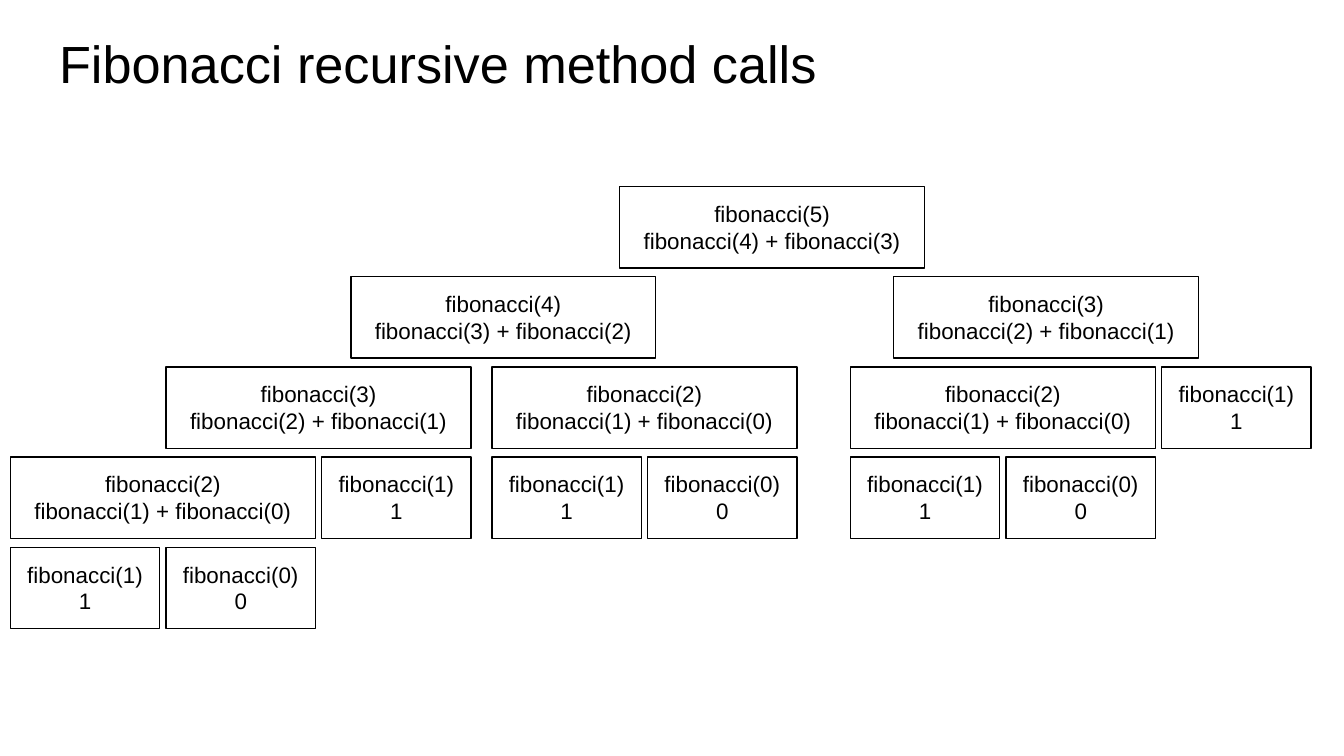
from pptx import Presentation
from pptx import util as u
from pptx.dml.color import RGBColor
from pptx.enum import shapes, text

Pt = u.Pt
BLACK = RGBColor(0x00, 0x00, 0x00)
FONT = "Arial"
LEAF_W, CALL_H = 80, 43.6
COL_STEP, ROW_STEP = 83.4, 48.3
CALL_W = COL_STEP + LEAF_W
FRAME = dict(word_wrap=True, margin_left=Pt(7.2), margin_right=Pt(7.2),
             margin_top=Pt(7.2), margin_bottom=Pt(7.2))
GROUP_A, GROUP_B, GROUP_C = 0, 258, 450
CALL_ROWS = [
    [(5, 326.4)],
    [(4, 182.4), (3, 473.2)],
    [(3, GROUP_A + COL_STEP), (2, GROUP_B), (2, GROUP_C), (1, GROUP_C + 2 * COL_STEP)],
    [(2, GROUP_A), (1, GROUP_A + 2 * COL_STEP),
     (1, GROUP_B), (0, GROUP_B + COL_STEP),
     (1, GROUP_C), (0, GROUP_C + COL_STEP)],
    [(1, GROUP_A), (0, GROUP_A + COL_STEP)],
]


def set_attrs(obj, values):
    """Set each named attribute on the object."""
    for name, value in values.items():
        setattr(obj, name, value)


def write_lines(tf, lines, size, align):
    """Write one paragraph per line in the slide font."""
    for i, line in enumerate(lines):
        p = tf.paragraphs[0] if i == 0 else tf.add_paragraph()
        p.alignment = align
        r = p.add_run()
        r.text = line
        set_attrs(r.font, dict(name=FONT, size=Pt(size)))
        r.font.color.rgb = BLACK


def add_title(s, left, top, width, height):
    """Place and format the title."""
    sp = s.shapes.title
    set_attrs(sp, dict(left=Pt(left), top=Pt(top), width=Pt(width), height=Pt(height)))
    tf = sp.text_frame
    set_attrs(tf, dict(FRAME, vertical_anchor=text.MSO_ANCHOR.MIDDLE,
                       auto_size=text.MSO_AUTO_SIZE.NONE))
    write_lines(tf, ["Fibonacci recursive method calls"], 28, text.PP_ALIGN.LEFT)


def add_call(s, n, left, top):
    """Draw the box for one call, with its sum or its base value."""
    is_leaf = n < 2
    body = str(n) if is_leaf else f"fibonacci({n - 1}) + fibonacci({n - 2})"
    sp = s.shapes.add_shape(shapes.MSO_SHAPE.RECTANGLE, Pt(left), Pt(top),
                            Pt(LEAF_W if is_leaf else CALL_W), Pt(CALL_H))
    sp.shadow.inherit = False
    sp.fill.background()
    sp.line.color.rgb = BLACK
    sp.line.width = Pt(0.75)
    tf = sp.text_frame
    set_attrs(tf, dict(FRAME, vertical_anchor=text.MSO_ANCHOR.TOP,
                       auto_size=text.MSO_AUTO_SIZE.SHAPE_TO_FIT_TEXT))
    write_lines(tf, [f"fibonacci({n})", body], 12, text.PP_ALIGN.CENTER)


def add_call_tree(s, left, top):
    """Draw the rows of calls from the first call down."""
    for i, row in enumerate(CALL_ROWS):
        for n, x in row:
            add_call(s, n, left + x, top + i * ROW_STEP)


def main():
    """Build the slide and save it."""
    prs = Presentation()
    set_attrs(prs, dict(slide_width=Pt(720), slide_height=Pt(405)))
    s = prs.slides.add_slide(prs.slide_layouts[5])
    add_title(s, 24.5, 9.4, 684, 48.2)
    add_call_tree(s, 5.6, 100)
    prs.save("out.pptx")


if __name__ == "__main__":
    main()
